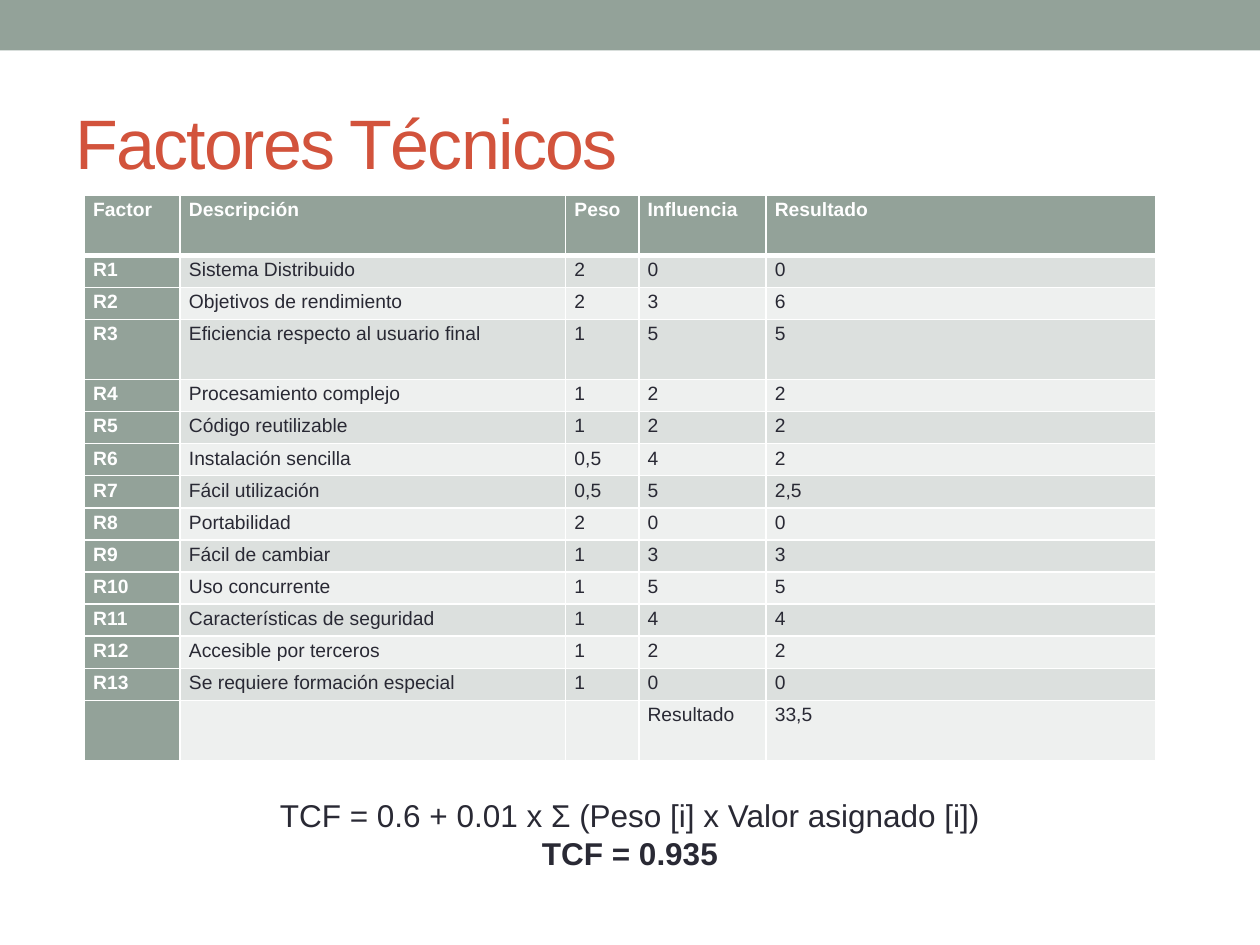
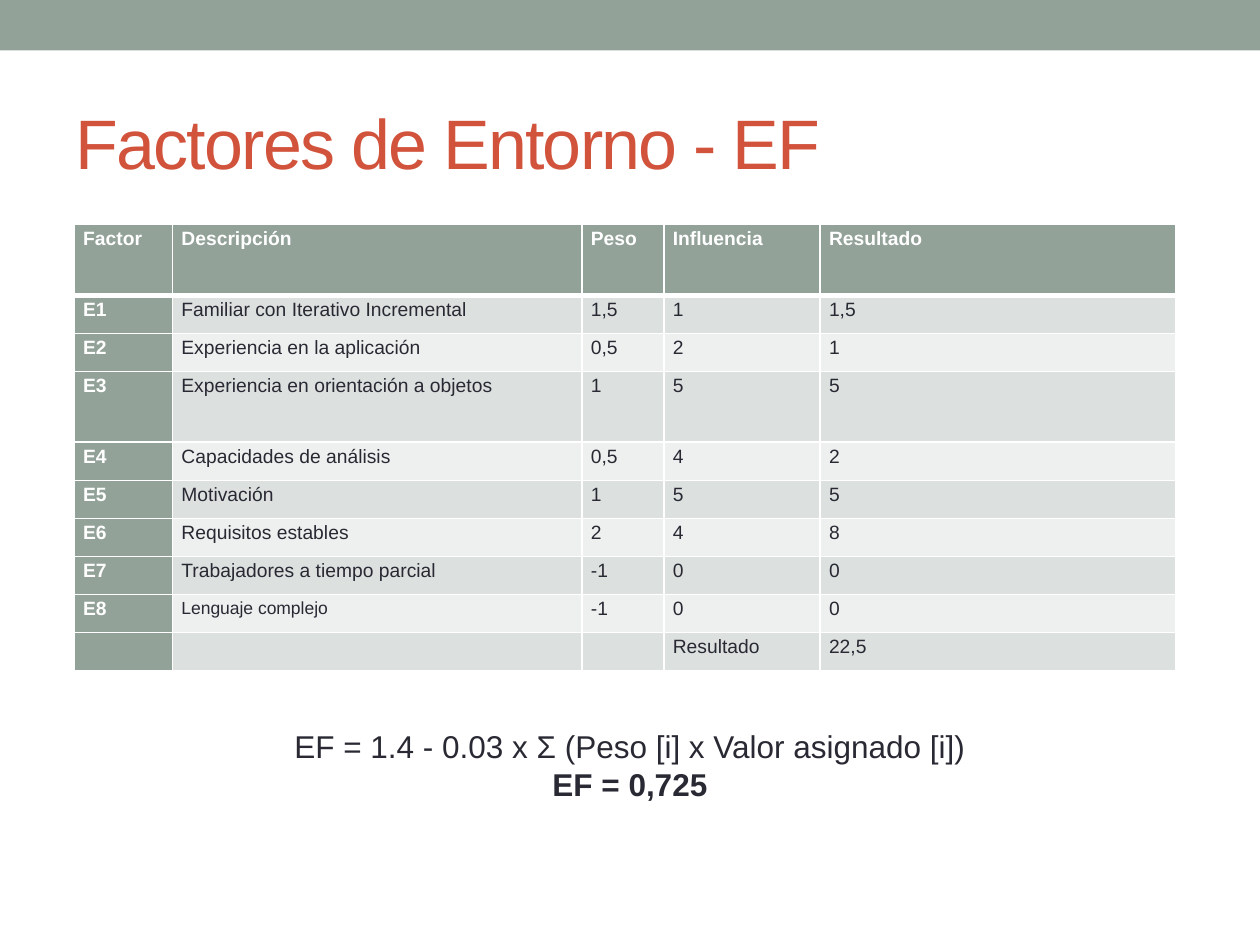
import pptx
import pptx.dml.color
import pptx.enum.shapes
import pptx.enum.text
import pptx.oxml
import pptx.oxml.ns
import pptx.util
from lxml import etree

HUES = {
    "sage": "93A299", "rust": "D2533C", "ink": "292934", "white": "FFFFFF",
    "odd": "DCE0DE", "even": "EEF0EF",
}
COLS, ROWS = 100, 75
WIDE, HIGH = pptx.util.Inches(10), pptx.util.Inches(7.5)
ALIGN = pptx.enum.text.PP_ALIGN
ANCHOR = pptx.enum.text.MSO_ANCHOR
FIT = pptx.enum.text.MSO_AUTO_SIZE

FORMAT = {
    "title": {"name": "Arial", "size": pptx.util.Pt(40), "bold": False},
    "sum": {"name": "Arial", "size": pptx.util.Pt(18), "bold": False},
    "total": {"name": "Arial", "size": pptx.util.Pt(18), "bold": True},
    "head": {"name": "Arial", "size": pptx.util.Pt(11), "bold": True},
    "body": {"name": "Arial", "size": pptx.util.Pt(11), "bold": False},
    "small": {"name": "Arial", "size": pptx.util.Pt(10), "bold": False},
}
CELL = {
    "margin_left": pptx.util.Inches(0.07), "margin_right": pptx.util.Inches(0.07),
    "margin_top": pptx.util.Inches(0.02), "margin_bottom": pptx.util.Inches(0.02),
}
FIELDS = ("Factor", "Descripción", "Peso", "Influencia", "Resultado")

TECH = [
    ("Sistema Distribuido", "2", "0", "0"),
    ("Objetivos de rendimiento", "2", "3", "6"),
    ("Eficiencia respecto al usuario final", "1", "5", "5"),
    ("Procesamiento complejo", "1", "2", "2"),
    ("Código reutilizable", "1", "2", "2"),
    ("Instalación sencilla", "0,5", "4", "2"),
    ("Fácil utilización", "0,5", "5", "2,5"),
    ("Portabilidad", "2", "0", "0"),
    ("Fácil de cambiar", "1", "3", "3"),
    ("Uso concurrente", "1", "5", "5"),
    ("Características de seguridad", "1", "4", "4"),
    ("Accesible por terceros", "1", "2", "2"),
    ("Se requiere formación especial", "1", "0", "0"),
]
PLACE = [
    ("Familiar con Iterativo Incremental", "1,5", "1", "1,5"),
    ("Experiencia en la aplicación", "0,5", "2", "1"),
    ("Experiencia en orientación a objetos", "1", "5", "5"),
    ("Capacidades de análisis", "0,5", "4", "2"),
    ("Motivación", "1", "5", "5"),
    ("Requisitos estables", "2", "4", "8"),
    ("Trabajadores a tiempo parcial", "-1", "0", "0"),
    ("Lenguaje complejo", "-1", "0", "0"),
]


def put(thing, values):
    for key, value in values.items():
        setattr(thing, key, value)


def tint(name):
    return pptx.dml.color.RGBColor.from_string(HUES[name])


def across(n):
    return round(WIDE * n / COLS)


def down(n):
    return round(HIGH * n / ROWS)


def area(left, top, width, height):
    return across(left), down(top), across(width), down(height)


def edge(cell, sides):
    """Draw white cell borders; sides maps L, R, T, B to points."""
    props = cell._tc.get_or_add_tcPr()
    for spot, (side, width) in enumerate(sides.items()):
        line = etree.Element(pptx.oxml.ns.qn("a:ln" + side), w=str(pptx.util.Pt(width)))
        fill = etree.SubElement(line, pptx.oxml.ns.qn("a:solidFill"))
        etree.SubElement(fill, pptx.oxml.ns.qn("a:srgbClr"), val=HUES["white"])
        props.insert(spot, line)


class Deck:
    def __init__(self):
        self.file = pptx.Presentation()
        put(self.file, {"slide_width": WIDE, "slide_height": HIGH})
        self.slide = None

    def page(self, title):
        """Start a slide with the top band and its title."""
        self.slide = self.file.slides.add_slide(self.file.slide_layouts[6])
        self.band()
        self.title(title)

    def band(self):
        kind = pptx.enum.shapes.MSO_SHAPE.RECTANGLE
        band = self.slide.shapes.add_shape(kind, *area(0, 0, COLS, 4))
        band.shadow.inherit = False
        band.fill.solid()
        band.fill.fore_color.rgb = tint("sage")
        band.line.fill.background()

    def words(self, para, text, style, hue):
        run = para.add_run()
        run.text = text
        put(run.font, FORMAT[style])
        run.font.color.rgb = tint(hue)
        return run

    def frame(self, spot, **values):
        frame = self.slide.shapes.add_textbox(*area(*spot)).text_frame
        put(frame, {"word_wrap": True, **values})
        return frame

    def title(self, text):
        frame = self.frame((5, 5.8, 90, 10.8), vertical_anchor=ANCHOR.MIDDLE)
        run = self.words(frame.paragraphs[0], text, "title", "rust")
        run.font._element.set("spc", "-100")

    def result(self, top, formula, total):
        """Place the centred formula and its bold outcome."""
        frame = self.frame((0, top, COLS, 7.1), auto_size=FIT.SHAPE_TO_FIT_TEXT)
        first, last = frame.paragraphs[0], frame.add_paragraph()
        for para, text, style in ((first, formula, "sum"), (last, total, "total")):
            para.alignment = ALIGN.CENTER
            self.words(para, text, style, "ink")

    def cell(self, cell, text, style, hue, fill):
        put(cell, CELL)
        cell.fill.solid()
        cell.fill.fore_color.rgb = tint(fill)
        para = cell.text_frame.paragraphs[0]
        para.line_spacing = 1.07
        if text:
            self.words(para, text, style, hue)
        else:
            end = etree.SubElement(para._p, pptx.oxml.ns.qn("a:endParaRPr"))
            end.set("sz", "1100")

    def table(self, left, top, widths, heights, tall, mark, data, total, small=()):
        """Fill a factor table; tall lists the high rows, small the 10 pt cells."""
        rows = [FIELDS]
        rows += [(f"{mark}{n}", *row) for n, row in enumerate(data, 1)]
        rows.append(("", "", "", "Resultado", total))
        low, high = heights
        sizes = [high if r in tall else low for r in range(len(rows))]
        spot = area(left, top, sum(widths), sum(sizes))
        grid = self.slide.shapes.add_table(len(rows), len(widths), *spot).table
        grid.horz_banding = False
        for col, width in zip(grid.columns, widths):
            col.width = across(width)
        for row, size in zip(grid.rows, sizes):
            row.height = down(size)
        for r, row in enumerate(rows):
            for c, text in enumerate(row):
                cell = grid.cell(r, c)
                if r == 0 or c == 0:
                    look = ("head", "white", "sage")
                else:
                    style = "small" if (r, c) in small else "body"
                    look = (style, "ink", "odd" if r % 2 else "even")
                self.cell(cell, text, *look)
                edge(cell, {"L": 1, "R": 1, "T": 3 if r == 1 else 1,
                            "B": 3 if r == 0 else 1})


def main():
    deck = Deck()

    deck.page("Factores Técnicos")
    deck.table(6.7, 15.5, (7.6, 30.6, 5.8, 10.1, 30.9), (2.55, 4.76),
               (0, 3, 14), "R", TECH, "33,5")
    deck.result(62.7, "TCF = 0.6 + 0.01 x Σ (Peso [i] x Valor asignado [i])",
                "TCF = 0.935")

    deck.page("Factores de Entorno - EF")
    deck.table(5.9, 17.8, (7.8, 32.5, 6.5, 12.4, 28.2), (3.02, 5.63),
               (0, 3), "E", PLACE, "22,5", small={(8, 1)})
    deck.result(57.2, "EF = 1.4 - 0.03 x Σ (Peso [i] x Valor asignado [i])",
                "EF = 0,725")

    deck.file.save("out.pptx")


if __name__ == "__main__":
    main()
